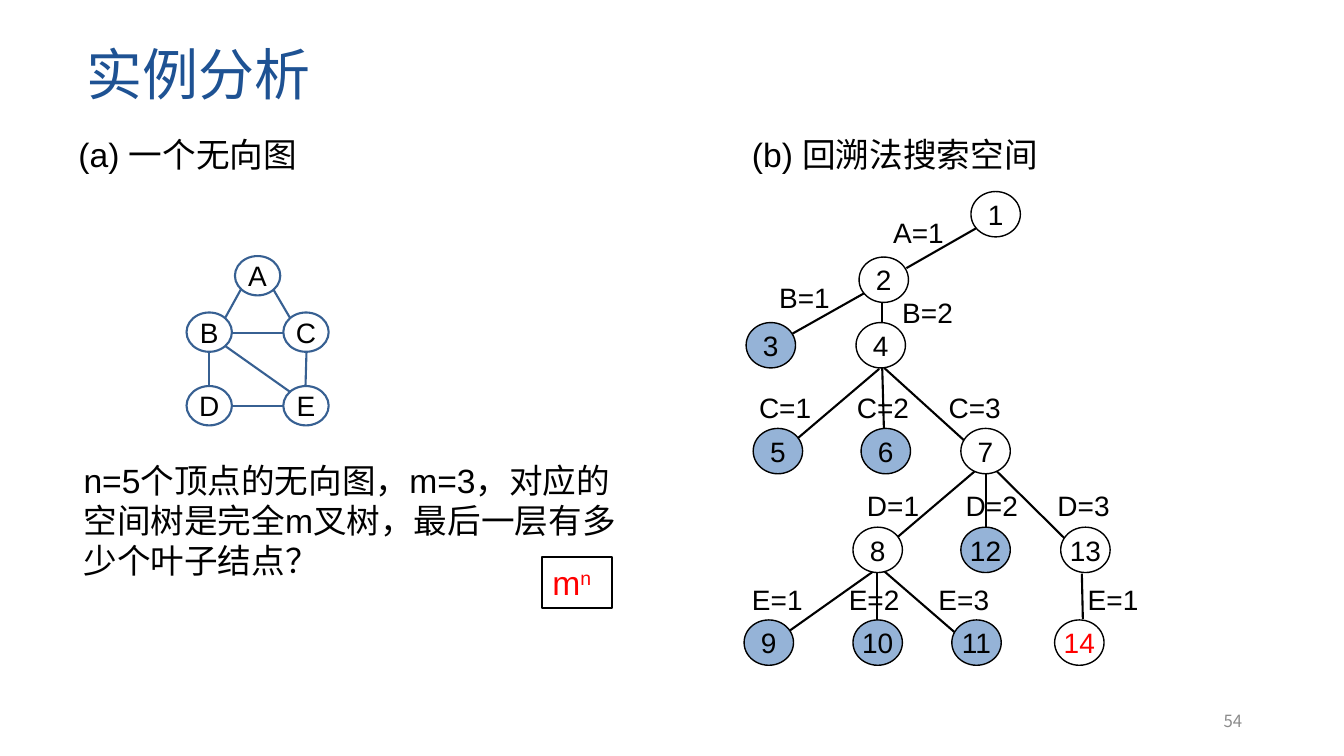
from pptx import Presentation
from pptx.dml.color import RGBColor
from pptx.enum.shapes import MSO_CONNECTOR as Link, MSO_SHAPE as Shape
from pptx.enum.text import MSO_ANCHOR as Anchor, MSO_AUTO_SIZE as Fit, PP_ALIGN as Align
from pptx.oxml.ns import qn
from pptx.util import Inches, Pt
from lxml.etree import SubElement

CJK = "Noto Sans CJK SC"
BLACK, WHITE, RED, GREY = "000000", "FFFFFF", "FF0000", "8C8C8C"
NAVY, BLUE, PALE = "1E5293", "376092", "95B3D7"


def rgb(color):
    return RGBColor.from_string(color)


def cells(*counts):
    return [Inches(n / 10) for n in counts]


def write(p, text, size=20, color=BLACK, font="Arial", raised=0):
    r = p.add_run()
    r.text = text
    r.font.size = Pt(size)
    r.font.name = font
    r.font.color.rgb = rgb(color)
    rPr = r._r.get_or_add_rPr()
    SubElement(rPr, qn("a:ea")).set("typeface", CJK)
    if raised:
        rPr.set("baseline", str(raised * 1000))


class Board:
    def __init__(self, prs):
        self.s = prs.slides.add_slide(prs.slide_layouts[5])

    def frame(self, sp, anchor=Anchor.TOP, align=Align.LEFT, wrap=True):
        tf = sp.text_frame
        tf.auto_size = Fit.NONE
        tf.word_wrap = wrap
        tf.vertical_anchor = anchor
        p = tf.paragraphs[0]
        p.alignment = align
        return p

    def title(self, text, box):
        sp = self.s.shapes.title
        sp.left, sp.top, sp.width, sp.height = cells(*box)
        p = self.frame(sp, Anchor.MIDDLE)
        p.line_spacing = 0.9
        write(p, text, size=40, color=NAVY)

    def text(self, text, box, anchor=Anchor.TOP, align=Align.LEFT, **style):
        sp = self.s.shapes.add_textbox(*cells(*box))
        write(self.frame(sp, anchor, align), text, **style)

    def shape(self, kind, box, fill=None, line=None, weight=1):
        sp = self.s.shapes.add_shape(kind, *cells(*box))
        sp.shadow.inherit = False
        if fill:
            sp.fill.solid()
            sp.fill.fore_color.rgb = rgb(fill)
        else:
            sp.fill.background()
        if line:
            sp.line.color.rgb = rgb(line)
            sp.line.width = Pt(weight)
        else:
            sp.line.fill.background()
        return sp

    def node(self, text, box, fill=WHITE, line=BLACK, weight=1, color=BLACK):
        sp = self.shape(Shape.OVAL, box, fill, line, weight)
        write(self.frame(sp, Anchor.MIDDLE, Align.CENTER, False), text, color=color)

    def edge(self, ends, color=BLACK):
        c = self.s.shapes.add_connector(Link.STRAIGHT, *cells(*ends))
        c.line.color.rgb = rgb(color)
        c.line.width = Pt(1.5)
        SubElement(c._element.spPr, qn("a:effectLst"))


TREE_LABELS = [
    ("A=1", 87.6, 20.9), ("B=1", 76.3, 27.3), ("B=2", 88.5, 28.8),
    ("C=1", 74.3, 38.2), ("C=2", 84, 38.2), ("C=3", 93.1, 38.2),
    ("D=1", 85, 48), ("D=2", 94.8, 48), ("D=3", 103.9, 48),
    ("E=1", 73.6, 57.3), ("E=2", 83.2, 57.3), ("E=3", 92.1, 57.3),
    ("E=1", 106.9, 57.3),
]
TREE_EDGES = [
    (96.9, 22.6, 89.9, 26.6), (85.7, 29.1, 78.6, 33.1), (87.5, 29.9, 87.5, 31.9),
    (87.2, 36.6, 77.1, 45.2), (87.5, 36.5, 87.7, 43.6), (87.7, 36.5, 97.4, 45.3),
    (97.1, 46.4, 87, 55), (97.8, 46.8, 97.8, 55.1), (98.5, 46.4, 107.3, 55.1),
    (86.6, 56.7, 76.3, 64), (87, 55.9, 87, 64.3), (87.5, 56.5, 96.5, 64.3),
    (107.3, 56.9, 107.4, 61.4),
]
TREE_ROWS = {
    19: {1: 96.3},
    25.5: {2: 85.2},
    32: {3: 74, 4: 84.9},
    42.5: {5: 74.7, 6: 85.4, 7: 95.3},
    52.3: {8: 84.6, 12: 95.3, 13: 105.2},
    61.5: {9: 73.8, 10: 84.6, 11: 94.4, 14: 104.6},
}
DEAD_ENDS = {3, 5, 6, 9, 10, 11, 12}
GOAL = 14
GRAPH_NODES = {"A": (23.3, 25.4), "B": (18.5, 31), "C": (28.1, 31),
               "D": (18.5, 38.3), "E": (28.1, 38.3)}
GRAPH_EDGES = [
    (23.9, 28.7, 22.3, 31.6), (27.1, 28.7, 28.8, 31.6), (20.7, 34.9, 20.7, 38.3),
    (30.4, 34.9, 30.3, 38.3), (23, 33, 28.1, 33), (23, 40.3, 28.1, 40.3),
    (22.3, 34.3, 28.8, 38.9),
]


def main():
    prs = Presentation()
    prs.slide_width, prs.slide_height = cells(133.3, 75)
    board = Board(prs)
    board.title("实例分析", (7.6, 0.4, 115, 14.5))
    board.text("54", (94.2, 69.5, 30, 4), Anchor.MIDDLE, Align.RIGHT,
               size=12, color=GREY, font=CJK)

    for text, x, y in TREE_LABELS:
        board.text(text, (x, y, 9, 4.4))
    for ends in TREE_EDGES:
        board.edge(ends)
    for y, row in TREE_ROWS.items():
        for number, x in row.items():
            board.node(str(number), (x, y, 4.9, 4.5),
                       fill=PALE if number in DEAD_ENDS else WHITE,
                       color=RED if number == GOAL else BLACK)

    for name, (x, y) in GRAPH_NODES.items():
        board.node(name, (x, y, 4.5, 3.9), line=BLUE, weight=1.5)
    for ends in GRAPH_EDGES:
        board.edge(ends, BLUE)

    board.text("(a) 一个无向图", (6.8, 12.8, 34.5, 5), size=24)
    board.text("(b) 回溯法搜索空间", (73.6, 12.8, 45.9, 5), size=24)
    question = board.shape(Shape.RECTANGLE, (7.3, 45.1, 55.8, 13.1), WHITE)
    write(board.frame(question),
          "n=5个顶点的无向图，m=3，对应的空间树是完全m叉树，最后一层有多少个叶子结点？", size=24)
    answer = board.shape(Shape.RECTANGLE, (53.8, 55.3, 6.9, 5), line=BLACK, weight=1.5)
    p = board.frame(answer)
    write(p, "m", size=24, color=RED)
    write(p, "n", size=24, color=RED, raised=30)

    prs.save("out.pptx")


if __name__ == "__main__":
    main()
